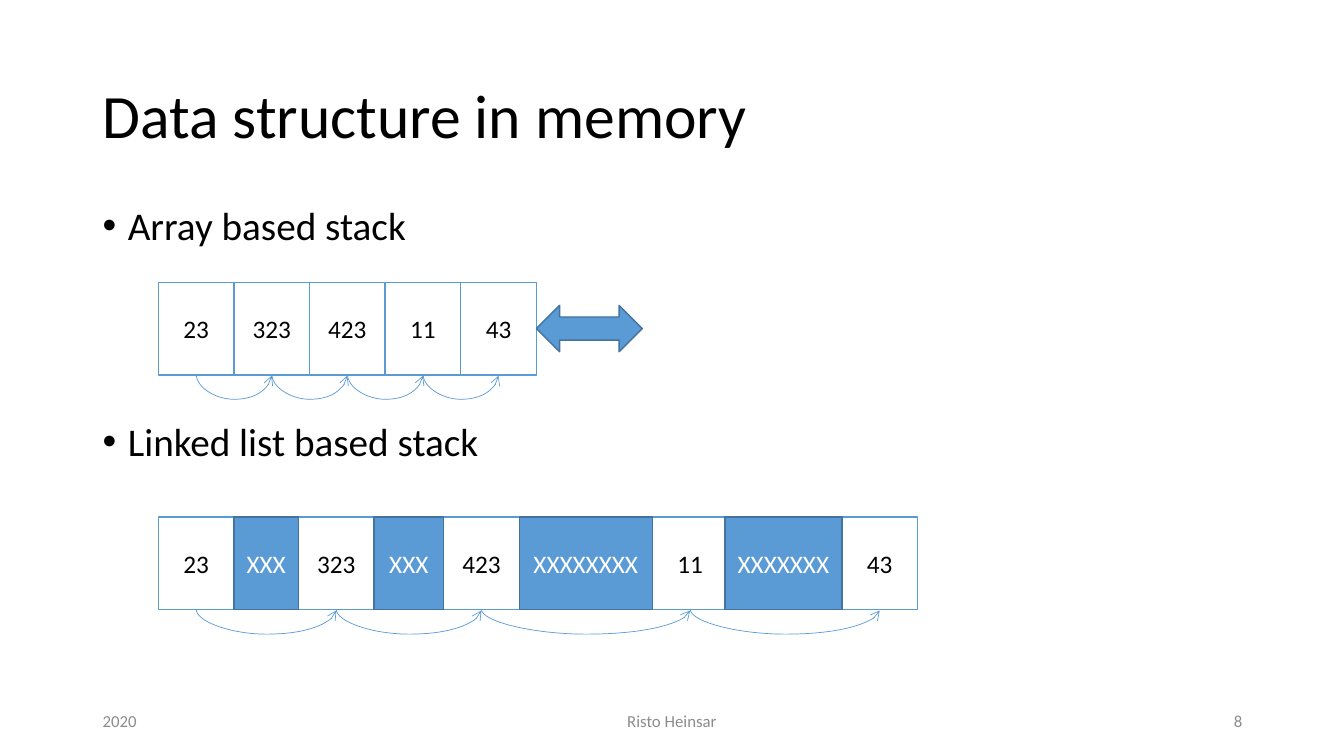
from lxml import etree
from pptx import Presentation
from pptx.dml.color import RGBColor
from pptx.enum.shapes import MSO_CONNECTOR, MSO_SHAPE
from pptx.enum.text import MSO_ANCHOR, PP_ALIGN
from pptx.oxml.ns import qn
from pptx.util import Inches, Pt

CURVE = MSO_CONNECTOR.CURVE
RECT, DOUBLE_ARROW = MSO_SHAPE.RECTANGLE, MSO_SHAPE.LEFT_RIGHT_ARROW
TOP, MIDDLE = MSO_ANCHOR.TOP, MSO_ANCHOR.MIDDLE
LEFT, CENTER, RIGHT = PP_ALIGN.LEFT, PP_ALIGN.CENTER, PP_ALIGN.RIGHT

COLORS = {"text": "000000", "white": "FFFFFF", "blue": "5B9BD5",
          "edge": "43739E", "footer": "8C8C8C"}
FONT = "Calibri"
WIDTH, HEIGHT = 13.33, 7.5
MARGIN, CONTENT_W = 0.92, 11.5
CELL_W, CELL_H = 0.75, 0.92
ROW_LEFT = 1.57
VALUES = ["23", "323", "423", "11", "43"]
NODE_LEFTS = [ROW_LEFT, 2.96, 4.4, 6.47, 8.35]
GAPS = [("XXX", 0.64), ("XXX", 0.69), ("XXXXXXXX", 1.32), ("XXXXXXX", 1.16)]


def color(name):
    """Return the named palette colour."""
    return RGBColor.from_string(COLORS[name])


def write(shape, lines, size, name, align=LEFT, anchor=MIDDLE):
    """Fill a shape with formatted paragraphs."""
    tf = shape.text_frame
    tf.word_wrap = True
    tf.vertical_anchor = anchor
    tf.text = "\n".join(lines)
    for p in tf.paragraphs:
        p.alignment = align
        for r in p.runs:
            r.font.name, r.font.size = FONT, Pt(size)
            r.font.color.rgb = color(name)
    return tf


def add_text(s, box, lines, size, name="text", align=LEFT, anchor=MIDDLE):
    """Add a text box and return its text frame."""
    tb = s.shapes.add_textbox(*map(Inches, box))
    return write(tb, lines, size, name, align, anchor)


def add_block(s, kind, box, fill, line):
    """Add a filled and outlined preset shape."""
    sp = s.shapes.add_shape(kind, *map(Inches, box))
    sp.shadow.inherit = False
    sp.fill.solid()
    sp.fill.fore_color.rgb = color(fill)
    sp.line.color.rgb = color(line)
    sp.line.width = Pt(1)
    return sp


def add_cell(s, box, text, fill="white", line="blue", name="text"):
    """Add one memory cell."""
    write(add_block(s, RECT, box, fill, line), [text], 18, name, CENTER)


def add_hop(s, x1, x2, y):
    """Add a curved arrow that dips below y between two cell centres."""
    span, thick = x2 - x1, Pt(1)
    c = s.shapes.add_connector(CURVE, 0, 0, 0, 0)
    c.left, c.top = Inches((x1 + x2) / 2) - thick // 2, Inches(y - span / 2)
    c.width, c.height = thick, Inches(span)
    c.line.color.rgb = color("blue")
    c.line.width = Pt(0.5)
    xfrm = c._element.spPr.find(qn("a:xfrm"))
    xfrm.set("rot", "16200000")
    xfrm.set("flipH", "1")
    geom = c._element.spPr.find(qn("a:prstGeom"))
    av = geom.find(qn("a:avLst"))
    if av is None:
        av = etree.SubElement(geom, qn("a:avLst"))
    etree.SubElement(av, qn("a:gd"), name="adj1", fmla="val 1800000")
    etree.SubElement(c.line._get_or_add_ln(), qn("a:tailEnd"), type="arrow")
    etree.SubElement(c._element.spPr, qn("a:effectLst"))


def add_nodes(s, lefts, top):
    """Add the value cells of one stack."""
    for left, value in zip(lefts, VALUES):
        add_cell(s, (left, top, CELL_W, CELL_H), value)


def add_hops(s, lefts, top):
    """Join the value cells of one stack, each to the next."""
    for a, b in zip(lefts, lefts[1:]):
        add_hop(s, a + CELL_W / 2, b + CELL_W / 2, top + CELL_H)


def array_stack(s, top):
    """Draw adjoining cells with a growth arrow at the end."""
    lefts = [ROW_LEFT + i * CELL_W for i in range(len(VALUES))]
    add_nodes(s, lefts, top)
    arrow_h = CELL_H / 2
    box = (lefts[-1] + CELL_W, top + arrow_h / 2, 1.05, arrow_h)
    add_block(s, DOUBLE_ARROW, box, "blue", "edge")
    add_hops(s, lefts, top)


def linked_stack(s, top):
    """Draw value cells separated by foreign memory."""
    add_nodes(s, NODE_LEFTS, top)
    for right, (text, width) in zip(NODE_LEFTS[1:], GAPS):
        add_cell(s, (right - width, top, width, CELL_H), text,
                 "blue", "edge", "white")
    add_hops(s, NODE_LEFTS, top)


def body(s, box):
    """Add the two bulleted headings."""
    tf = add_text(s, box, ["Array based stack", "Linked list based stack"],
                  28, anchor=TOP)
    for p in tf.paragraphs:
        p.line_spacing = 0.9
        pPr = p._p.get_or_add_pPr()
        pPr.set("marL", str(Inches(0.25)))
        pPr.set("indent", str(-Inches(0.25)))
        etree.SubElement(pPr, qn("a:buFont"), typeface="Arial")
        etree.SubElement(pPr, qn("a:buChar"), char="•")
    tf.paragraphs[1].space_before = Pt(124)


def footer(s, top):
    """Add the year, author and slide number."""
    side, middle = 3.58, 3.17
    parts = [("2020", MARGIN, side, LEFT),
             ("Risto Heinsar", (WIDTH - middle) / 2, middle, CENTER),
             ("8", MARGIN + CONTENT_W - side, side, RIGHT)]
    for text, left, width, align in parts:
        add_text(s, (left, top, width, 0.4), [text], 12, "footer", align)


def main():
    """Build and save the slide."""
    prs = Presentation()
    prs.slide_width, prs.slide_height = Inches(WIDTH), Inches(HEIGHT)
    s = prs.slides.add_slide(prs.slide_layouts[6])
    add_text(s, (MARGIN, 0.4, CONTENT_W, 1.45), ["Data structure in memory"], 44)
    body(s, (MARGIN, 2, CONTENT_W, 4.76))
    array_stack(s, 2.8)
    linked_stack(s, 5.13)
    footer(s, 6.95)
    prs.save("out.pptx")


if __name__ == "__main__":
    main()
